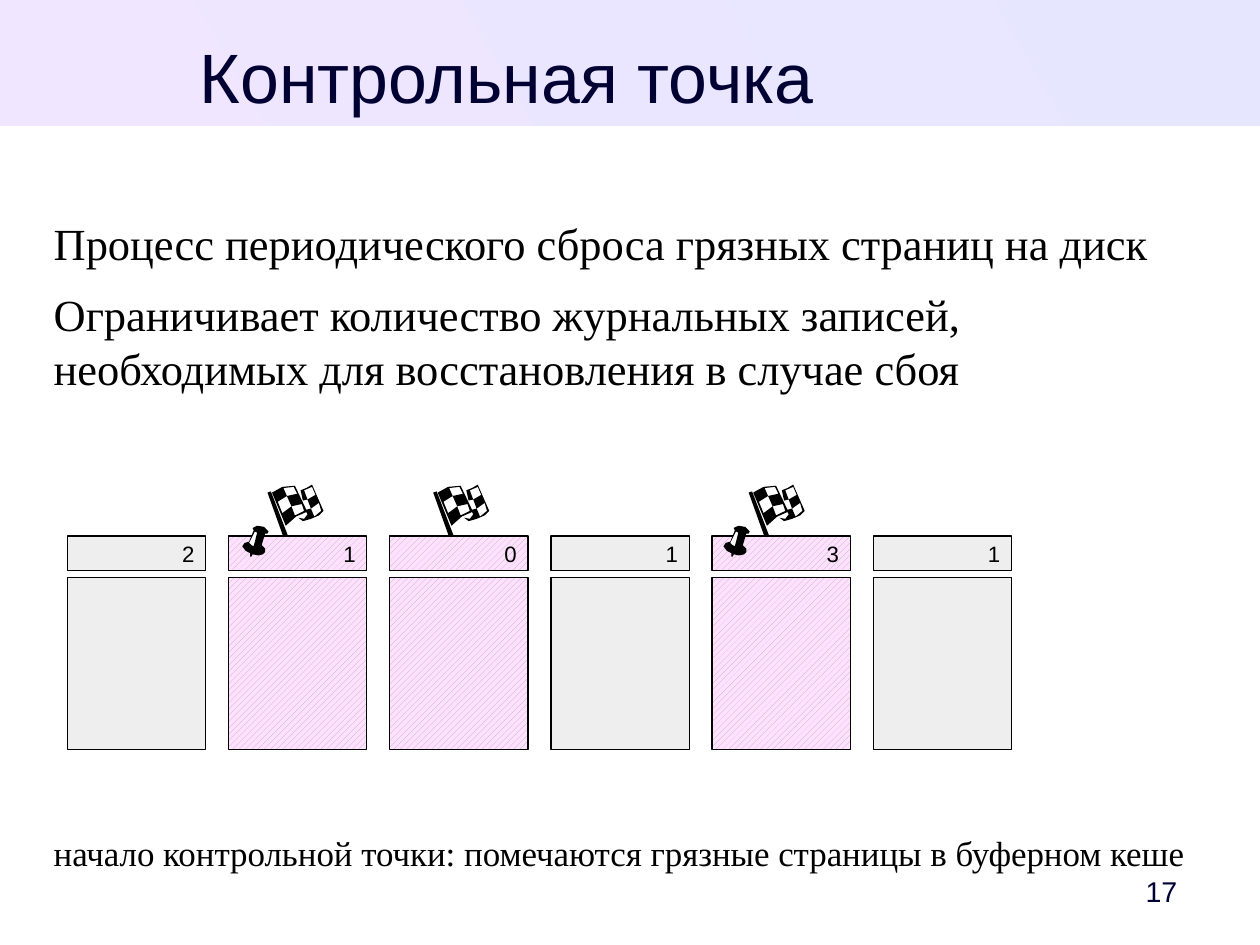
from lxml import etree
from pptx import Presentation
from pptx import util as u
from pptx.dml.color import RGBColor
from pptx.enum import dml, shapes, text
from pptx.oxml.ns import qn

COLORS = {
    "ink": "000033",
    "black": "000000",
    "white": "FFFFFF",
    "clean": "EEEEEE",
    "dirty": "FFE1FF",
    "hatch": "B2B2B2",
    "band_blue": "E6E6FF",
    "band_pink": "F0E6FF",
}

PAGES = [
    {"count": "2"},
    {"count": "1", "flag": 0.34, "pin": 0.12},
    {"count": "0", "flag": 0.38},
    {"count": "1"},
    {"count": "3", "flag": 0.32, "pin": 0.1},
    {"count": "1"},
]
PAGE_LEFT, PAGE_STEP, PAGE_WIDTH = 0.59, 1.41, 1.21
HEADER_TOP, HEADER_HEIGHT = 4.69, 0.3
BUFFER_TOP, BUFFER_HEIGHT = 5.05, 1.51
FLAG_TOP, PIN_TOP = 4.24, 4.6

FLAG_OUTLINES = [
    [(39, 0), (34.5, 3), (29, 5), (31, 14), (35, 13), (32, 5), (39, 2),
     (42, 9), (35, 13), (38, 21), (45, 16), (47, 23), (41, 28), (38, 21),
     (34, 22), (24, 1), (13, 2), (4, 7), (16, 36), (25, 28), (34, 24),
     (35, 26), (32, 30), (27, 29), (31, 31.5), (38, 30.5), (45, 27), (49, 23)],
    [(26, 8), (17, 10), (21, 19), (30, 17), (32, 23), (24, 27), (21, 19),
     (13, 25), (9, 15), (17, 10), (14, 3), (23, 2)],
    [(3, 6), (0, 7), (14, 46), (18, 45)],
]
PIN_OUTLINES = [
    [(8, 27), (7, 27), (7, 24), (3, 22), (0, 18), (2, 15), (6, 14), (10, 4),
     (9, 2), (13, 0), (19, 1), (23, 5), (22, 7), (20, 7), (17, 17), (20, 20),
     (20, 23), (18, 25), (14, 26), (9, 25)],
    [(6, 15), (8, 17), (10, 18), (13, 6), (11, 5)],
]


def color(name):
    return RGBColor.from_string(COLORS[name])


def place(shape, left, top, width, height):
    shape.left, shape.top = u.Inches(left), u.Inches(top)
    shape.width, shape.height = u.Inches(width), u.Inches(height)


def set_margins(frame, left, top, right, bottom):
    frame.margin_left, frame.margin_top = u.Inches(left), u.Inches(top)
    frame.margin_right, frame.margin_bottom = u.Inches(right), u.Inches(bottom)


def add_run(paragraph, words, size, font, tint):
    run = paragraph.add_run()
    run.text = words
    run.font.size = u.Pt(size)
    run.font.name = font
    run.font.color.rgb = color(tint)


def add_rectangle(slide, left, top, width, height):
    rectangle = slide.shapes.add_shape(
        shapes.MSO_SHAPE.RECTANGLE, u.Inches(left), u.Inches(top),
        u.Inches(width), u.Inches(height))
    rectangle.shadow.inherit = False
    rectangle.line.fill.background()
    return rectangle


def add_band(slide, width):
    band = add_rectangle(slide, 0, 0, 0, 1.1)
    band.width = width
    band.fill.gradient()
    band.fill.gradient_angle = 210
    for position, name in enumerate(("band_blue", "band_pink")):
        stop = band.fill.gradient_stops[position]
        stop.color.rgb = color(name)
        stop.position = position
    slide.shapes._spTree.insert(2, band._element)


def add_outline(slide, left, top, outlines):
    first, *others = outlines
    builder = slide.shapes.build_freeform(*first[0], scale=u.Inches(0.01))
    builder.add_line_segments(first[1:], close=True)
    for outline in others:
        builder.move_to(*outline[0])
        builder.add_line_segments(outline[1:], close=True)
    icon = builder.convert_to_shape(u.Inches(left), u.Inches(top))
    icon.shadow.inherit = False
    icon.fill.solid()
    icon.fill.fore_color.rgb = color("black")
    icon.line.fill.background()


def add_page_part(slide, left, top, height, dirty):
    part = add_rectangle(slide, left, top, PAGE_WIDTH, height)
    if dirty:
        part.fill.patterned()
        part.fill.pattern = dml.MSO_PATTERN.WIDE_UPWARD_DIAGONAL
        part.fill.fore_color.rgb = color("hatch")
        part.fill.back_color.rgb = color("dirty")
    else:
        part.fill.solid()
        part.fill.fore_color.rgb = color("clean")
    part.line.color.rgb = color("black")
    part.line.width = u.Pt(0)
    return part


def add_page(slide, left, page):
    dirty = "flag" in page
    if dirty:
        add_outline(slide, left + page["flag"], FLAG_TOP, FLAG_OUTLINES)
    add_page_part(slide, left, BUFFER_TOP, BUFFER_HEIGHT, dirty)
    header = add_page_part(slide, left, HEADER_TOP, HEADER_HEIGHT, dirty)
    frame = header.text_frame
    frame.word_wrap = False
    frame.vertical_anchor = text.MSO_ANCHOR.MIDDLE
    paragraph = frame.paragraphs[0]
    paragraph.alignment = text.PP_ALIGN.RIGHT
    add_run(paragraph, page["count"], 14, "Arial", "black")
    if "pin" in page:
        add_pin(slide, left + page["pin"])


def add_pin(slide, left):
    shine = add_rectangle(slide, left + 0.08, PIN_TOP + 0.04, 0.07, 0.14)
    shine.rotation = 24.8
    shine.fill.solid()
    shine.fill.fore_color.rgb = color("white")
    add_outline(slide, left, PIN_TOP, PIN_OUTLINES)


def fill_title(title):
    place(title, 0.47, 0.29, 7.93, 0.68)
    frame = title.text_frame
    frame.auto_size = text.MSO_AUTO_SIZE.NONE
    frame.vertical_anchor = text.MSO_ANCHOR.TOP
    set_margins(frame, 0, 0, 0, 0)
    paragraph = frame.paragraphs[0]
    paragraph.alignment = text.PP_ALIGN.CENTER
    add_run(paragraph, "Контрольная точка", 44, "Arial", "ink")


def add_body_paragraph(paragraph, lines, size, before):
    properties = paragraph._p.get_or_add_pPr()
    properties.set("marL", "0")
    properties.set("indent", "0")
    etree.SubElement(properties, qn("a:buNone"))
    paragraph.space_before = u.Pt(before)
    paragraph.space_after = u.Pt(11.3)
    for number, line in enumerate(lines):
        if number:
            paragraph.add_line_break()
        add_run(paragraph, line, size, "Times New Roman", "black")


def fill_body(body):
    place(body, 0.47, 1.89, 10.08, 5.71)
    frame = body.text_frame
    frame.auto_size = text.MSO_AUTO_SIZE.NONE
    set_margins(frame, 0, 0, 0, 0)
    add_body_paragraph(frame.paragraphs[0], [
        "Процесс периодического сброса грязных страниц на диск"], 28, 0)
    add_body_paragraph(frame.add_paragraph(), [
        "Ограничивает количество журнальных записей,",
        "необходимых для восстановления в случае сбоя"], 28, 0)
    add_body_paragraph(frame.add_paragraph(), [
        "начало контрольной точки: помечаются грязные страницы в буферном кеше"],
        22, 264)


def add_slide_number(slide):
    box = slide.shapes.add_textbox(
        u.Inches(9.69), u.Inches(7.56), u.Inches(0.87), u.Inches(0.47))
    frame = box.text_frame
    frame.word_wrap = True
    frame.vertical_anchor = text.MSO_ANCHOR.MIDDLE
    set_margins(frame, 0.1, 0.05, 0.26, 0.05)
    number = frame.paragraphs[0]
    number.alignment = text.PP_ALIGN.RIGHT
    add_run(number, "17", 18, "Arial", "ink")


def main():
    presentation = Presentation()
    presentation.slide_width = u.Cm(28)
    presentation.slide_height = u.Cm(21)
    slide = presentation.slides.add_slide(presentation.slide_layouts[1])
    add_band(slide, presentation.slide_width)
    fill_title(slide.shapes.title)
    fill_body(slide.placeholders[1])
    for index, page in enumerate(PAGES):
        add_page(slide, PAGE_LEFT + index * PAGE_STEP, page)
    add_slide_number(slide)
    presentation.save("out.pptx")


if __name__ == "__main__":
    main()
